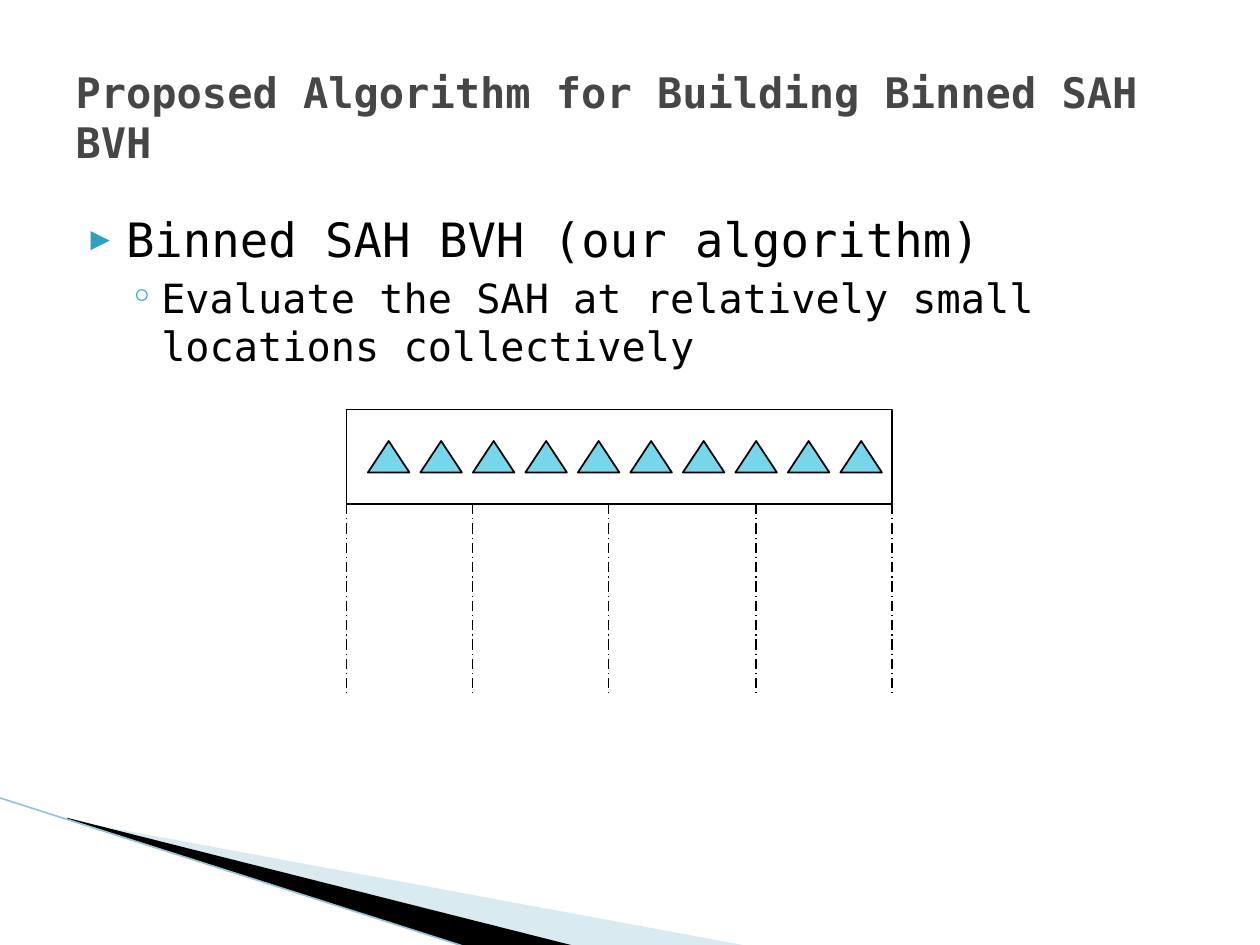
import pptx
import pptx.dml.color
import pptx.enum.dml
import pptx.enum.shapes
import pptx.enum.text
import pptx.oxml.ns
import pptx.util
from lxml import etree

Inches = pptx.util.Inches
Pt = pptx.util.Pt
RGBColor = pptx.dml.color.RGBColor
MSO_SHAPE = pptx.enum.shapes.MSO_SHAPE
qn = pptx.oxml.ns.qn

# Content
FONT = "DejaVu Sans Mono"
TITLE = "Proposed Algorithm for Building Binned SAH BVH"
BULLETS = [
    dict(text="Binned SAH BVH (our algorithm)", level=0, size=27, before=4,
         margin=0.4, indent=-0.28, mark="▶", mark_percent=68),
    dict(text="Evaluate the SAH at relatively small locations collectively",
         level=1, size=23, before=3.2, margin=0.68, indent=-0.25,
         mark="◦", mark_percent=100),
]

# Colours
BLACK = RGBColor(0x00, 0x00, 0x00)
TITLE_GREY = RGBColor(0x46, 0x46, 0x46)
BULLET_BLUE = RGBColor(0x2D, 0xA2, 0xBF)
TRIANGLE_BLUE = RGBColor(0x78, 0xD6, 0xEA)
SWOOSH_BLUE = RGBColor(0xA0, 0xCB, 0xDC)
SWOOSH_EDGE = RGBColor(0x97, 0xC5, 0xD8)

# Geometry in inches
SWOOSHES = [
    ([(0.55, 6.51), (5.95, 7.51), (4.56, 7.51), (0.55, 6.5)], SWOOSH_BLUE, 40),
    ([(0.53, 6.49), (4.57, 7.51), (3.72, 7.52), (0.54, 6.5)], BLACK, 100),
]
BOX_LEFT, BOX_TOP, BOX_WIDTH, BOX_HEIGHT = 2.75, 3.25, 4.33, 0.75
TRIANGLE_COUNT, TRIANGLE_LEFT, TRIANGLE_TOP = 10, 2.92, 3.5
TRIANGLE_WIDTH, TRIANGLE_HEIGHT, TRIANGLE_PITCH = 0.33, 0.25, 5 / 12
BIN_EDGES = [BOX_LEFT, 3.75, 4.83, 6, BOX_LEFT + BOX_WIDTH]
BIN_TOP, BIN_BOTTOM = BOX_TOP + BOX_HEIGHT, 5.5


def place(shape, left, top, width, height):
    shape.left, shape.top = Inches(left), Inches(top)
    shape.width, shape.height = Inches(width), Inches(height)


def add_run(paragraph, text, size, color, bold=False):
    run = paragraph.add_run()
    run.text = text
    run.font.name = FONT
    run.font.size = Pt(size)
    run.font.bold = bold
    run.font.color.rgb = color


def set_bullet(paragraph, item):
    properties = paragraph._p.get_or_add_pPr()
    properties.set("marL", str(Inches(item["margin"])))
    properties.set("indent", str(Inches(item["indent"])))
    color = etree.SubElement(properties, qn("a:buClr"))
    etree.SubElement(color, qn("a:srgbClr"), val=str(BULLET_BLUE))
    etree.SubElement(properties, qn("a:buSzPct"), val=str(item["mark_percent"] * 1000))
    etree.SubElement(properties, qn("a:buFont"), typeface=FONT)
    etree.SubElement(properties, qn("a:buChar"), char=item["mark"])


def add_swoosh(slide, points, color, opacity):
    corners = [(Inches(x), Inches(y)) for x, y in points]
    builder = slide.shapes.build_freeform(*corners[0], scale=1.0)
    builder.add_line_segments(corners[1:], close=True)
    shape = builder.convert_to_shape()
    shape.shadow.inherit = False
    shape.fill.solid()
    shape.fill.fore_color.rgb = color
    shape.line.fill.background()
    if opacity < 100:
        color_element = shape._element.spPr.find(qn("a:solidFill"))[0]
        etree.SubElement(color_element, qn("a:alpha"), val=str(opacity * 1000))


def add_line(slide, start, end, color, width, dash=None):
    line = slide.shapes.add_connector(
        pptx.enum.shapes.MSO_CONNECTOR.STRAIGHT,
        *(Inches(value) for value in start + end))
    line.line.color.rgb = color
    line.line.width = Pt(width)
    if dash is not None:
        line.line.dash_style = dash
    etree.SubElement(line._element.spPr, qn("a:effectLst"))


def add_outlined(slide, kind, left, top, width, height, fill=None):
    shape = slide.shapes.add_shape(
        kind, Inches(left), Inches(top), Inches(width), Inches(height))
    shape.shadow.inherit = False
    shape.line.color.rgb = BLACK
    shape.line.width = Pt(1)
    if fill is None:
        shape.fill.background()
    else:
        shape.fill.solid()
        shape.fill.fore_color.rgb = fill


def main():
    presentation = pptx.Presentation()
    presentation.slide_width, presentation.slide_height = Inches(10), Inches(7.5)
    slide = presentation.slides.add_slide(presentation.slide_layouts[1])
    title, body = slide.shapes.title, slide.placeholders[1]

    # Corner decoration, behind the text
    for points, color, opacity in SWOOSHES:
        add_swoosh(slide, points, color, opacity)
    add_line(slide, (-0.01, 6.33), (3.71, 7.52), SWOOSH_EDGE, 0.95)
    for placeholder in (body, title):
        placeholder.element.getparent().append(placeholder.element)

    # Title
    place(title, 0.5, 0.3, 9, 1.25)
    title.text_frame.vertical_anchor = pptx.enum.text.MSO_ANCHOR.MIDDLE
    title.text_frame.auto_size = pptx.enum.text.MSO_AUTO_SIZE.NONE
    paragraph = title.text_frame.paragraphs[0]
    paragraph.alignment = pptx.enum.text.PP_ALIGN.LEFT
    add_run(paragraph, TITLE, 24, TITLE_GREY, bold=True)

    # Bulleted list
    place(body, 0.5, 1.62, 9, 4.95)
    frame = body.text_frame
    frame.auto_size = pptx.enum.text.MSO_AUTO_SIZE.NONE
    for index, item in enumerate(BULLETS):
        paragraph = frame.add_paragraph() if index else frame.paragraphs[0]
        paragraph.level = item["level"]
        paragraph.space_before = Pt(item["before"])
        set_bullet(paragraph, item)
        add_run(paragraph, item["text"], item["size"], BLACK)

    # Bounding box with its row of triangles
    add_outlined(slide, MSO_SHAPE.RECTANGLE, BOX_LEFT, BOX_TOP, BOX_WIDTH, BOX_HEIGHT)
    for index in range(TRIANGLE_COUNT):
        add_outlined(slide, MSO_SHAPE.ISOSCELES_TRIANGLE,
                     TRIANGLE_LEFT + index * TRIANGLE_PITCH, TRIANGLE_TOP,
                     TRIANGLE_WIDTH, TRIANGLE_HEIGHT, TRIANGLE_BLUE)

    # Bin boundaries
    for x in BIN_EDGES:
        add_line(slide, (x, BIN_TOP), (x, BIN_BOTTOM), BLACK, 0.75,
                 pptx.enum.dml.MSO_LINE.LONG_DASH_DOT)

    presentation.save("out.pptx")


if __name__ == "__main__":
    main()
